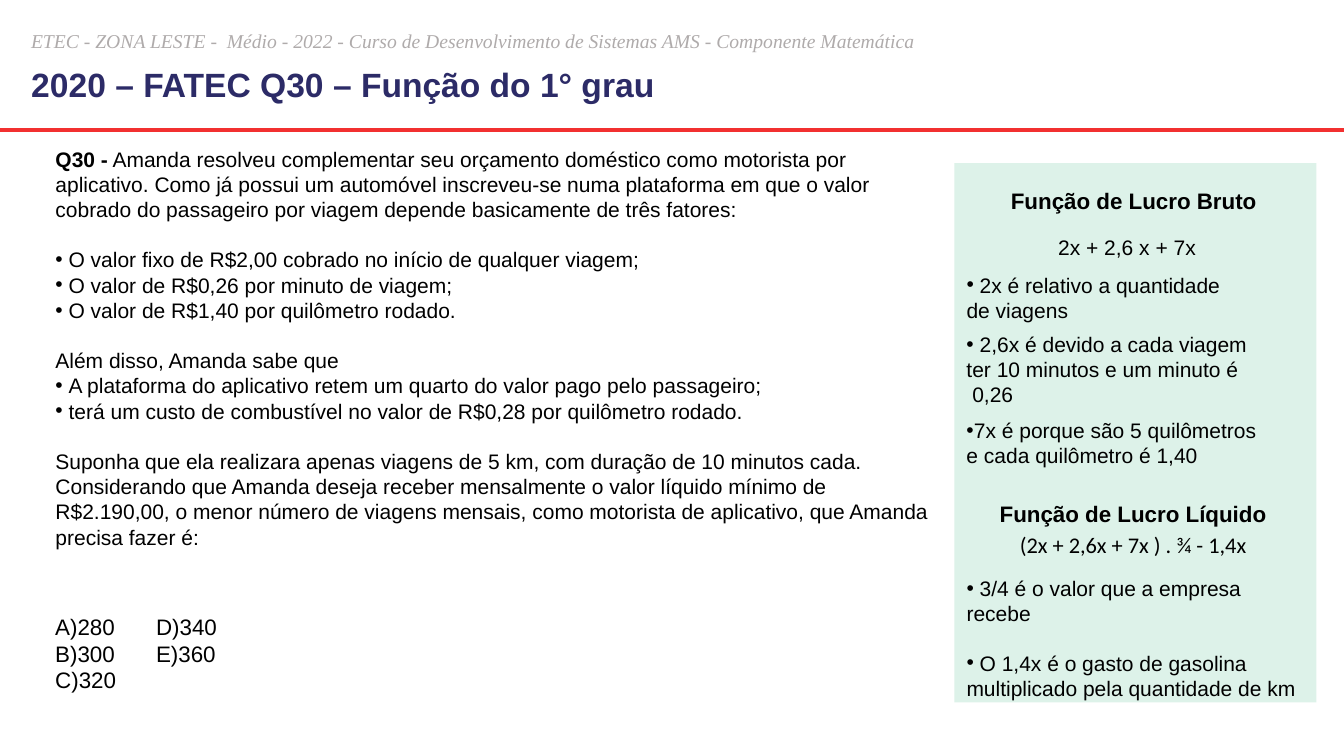
from lxml import etree
from pptx import Presentation
from pptx.dml.color import RGBColor
from pptx.enum.shapes import MSO_CONNECTOR, MSO_SHAPE
from pptx.enum.text import MSO_ANCHOR, MSO_AUTO_SIZE, PP_ALIGN
from pptx.oxml.ns import qn
from pptx.util import Pt

LEFT, TOP = PP_ALIGN.LEFT, MSO_ANCHOR.TOP
FIT, NO_FIT = MSO_AUTO_SIZE.SHAPE_TO_FIT_TEXT, MSO_AUTO_SIZE.NONE
STRAIGHT, RECTANGLE = MSO_CONNECTOR.STRAIGHT, MSO_SHAPE.RECTANGLE

BLACK = RGBColor(0x00, 0x00, 0x00)
GRAY = RGBColor(0xAF, 0xAB, 0xAB)
NAVY = RGBColor(0x2C, 0x2B, 0x67)
RED = RGBColor(0xF2, 0x30, 0x30)
MINT = RGBColor(0xDD, 0xF2, 0xE9)

BULLET = 9.4        # gap from bullet to text
TIGHT_BULLET = 5.3  # bullet that touches its text
NOTE_LEFT = 683.3
ANSWER_TAB = 148.5


def set_indent(p, bullet):
    """Give the paragraph a hanging bullet, or none when bullet is 0."""
    pPr = p._p.get_or_add_pPr()
    pPr.set("marL", str(Pt(bullet)))
    pPr.set("indent", str(-Pt(bullet)))
    if bullet:
        etree.SubElement(pPr, qn("a:buFont")).set("typeface", "Arial")
        etree.SubElement(pPr, qn("a:buChar")).set("char", "•")
    else:
        etree.SubElement(pPr, qn("a:buNone"))


def add_tab_stop(p, pos):
    tabs = etree.SubElement(p._p.get_or_add_pPr(), qn("a:tabLst"))
    etree.SubElement(tabs, qn("a:tab"), pos=str(Pt(pos)), algn="l")


def add_text(p, text, size=15, font="Arial", color=BLACK, bold=False,
             italic=False, bullet=0, before=0):
    """Append a formatted run and set the format of its paragraph."""
    if not p.runs:
        p.alignment = LEFT
        p.space_before = Pt(before)
        set_indent(p, bullet)
    r = p.add_run()
    r.text = text
    r.font.size, r.font.name = Pt(size), font
    r.font.bold, r.font.italic = bold, italic
    r.font.color.rgb = color


def next_paragraph(tf):
    p = tf.paragraphs[-1]
    return tf.add_paragraph() if p.runs else p


def add_box(s, x, y, w, h, *lines, wrap=False, bullet=0, **fmt):
    """Text box with one paragraph a line; a bullet marks the first."""
    tf = s.shapes.add_textbox(Pt(x), Pt(y), Pt(w), Pt(h)).text_frame
    tf.word_wrap, tf.auto_size = wrap, FIT
    for i, line in enumerate(lines):
        add_text(next_paragraph(tf), line, bullet=0 if i else bullet, **fmt)
    return tf


def place(sp, x, y, w, h):
    """Move a placeholder and return its cleaned-up text frame."""
    sp.left, sp.top, sp.width, sp.height = Pt(x), Pt(y), Pt(w), Pt(h)
    tf = sp.text_frame
    tf.word_wrap, tf.auto_size, tf.vertical_anchor = True, NO_FIT, TOP
    return tf


def add_panel(s, x, y, w, h):
    sp = s.shapes.add_shape(RECTANGLE, Pt(x), Pt(y), Pt(w), Pt(h))
    sp.shadow.inherit = False
    sp.fill.solid()
    sp.fill.fore_color.rgb = MINT
    sp.line.fill.background()


def add_rule(s, y, w):
    line = s.shapes.add_connector(STRAIGHT, Pt(0), Pt(y), Pt(w), Pt(y))
    line.line.color.rgb = RED
    line.line.width = Pt(3)
    etree.SubElement(line._element.spPr, qn("a:effectLst"))


def add_question(tf):
    p = next_paragraph(tf)
    add_text(p, "Q30 -", bold=True)
    add_text(p, " Amanda resolveu complementar seu orçamento doméstico como "
             "motorista por aplicativo. Como já possui um automóvel "
             "inscreveu-se numa plataforma em que o valor cobrado do "
             "passageiro por viagem depende basicamente de três fatores:")
    # (space before, bullet, text)
    for before, bullet, text in (
        (18, BULLET, "O valor fixo de R$2,00 cobrado no início de qualquer viagem;"),
        (0, BULLET, "O valor de R$0,26 por minuto de viagem;"),
        (0, BULLET, "O valor de R$1,40 por quilômetro rodado."),
        (18, 0, "Além disso, Amanda sabe que"),
        (0, BULLET, "A plataforma do aplicativo retem um quarto do valor pago "
                    "pelo passageiro;"),
        (0, BULLET, "terá um custo de combustível no valor de R$0,28 por "
                    "quilômetro rodado."),
        (18, 0, "Suponha que ela realizara apenas viagens de 5 km, com duração "
                "de 10 minutos cada."),
        (0, 0, "Considerando que Amanda deseja receber mensalmente o valor "
               "líquido mínimo de R$2.190,00, o menor número de viagens "
               "mensais, como motorista de aplicativo, que Amanda precisa "
               "fazer é:"),
    ):
        add_text(next_paragraph(tf), text, bullet=bullet, before=before)


def add_solution(s):
    add_panel(s, 681.8, 116.6, 258.5, 385.2)

    # Headings and formulas
    add_box(s, 715, 130.3, 192.2, 26.6, "Função de Lucro Bruto", size=16, bold=True)
    add_box(s, 748.8, 164.2, 123.8, 25.2, "2x + 2,6 x + 7x", wrap=True)
    add_box(s, 707, 353.5, 207.4, 26.6, "Função de Lucro Líquido", size=16, bold=True)
    add_box(s, 721.4, 375.8, 178.6, 26.6, "(2x + 2,6x + 7x ) . ¾ - 1,4x",
            size=16, font="Calibri")

    # Notes: top, width, height, bullet, lines
    for y, w, h, bullet, lines in (
        (190.8, 202.3, 43.9, BULLET, ("2x é relativo a quantidade", "de viagens")),
        (233.3, 221, 79.9, BULLET, ("2,6x é devido a cada viagem",
                                    "ter 10 minutos e um minuto é", " 0,26")),
        (294.5, 232.6, 43.9, TIGHT_BULLET, ("7x é porque são 5 quilômetros",
                                            "e cada quilômetro é 1,40")),
        (407.5, 216.7, 43.9, BULLET, ("3/4 é o valor que a empresa", "recebe")),
        (460.8, 252.7, 43.9, BULLET, ("O 1,4x é o gasto de gasolina",
                                      "multiplicado pela quantidade de km")),
    ):
        add_box(s, NOTE_LEFT, y, w, h, *lines, bullet=bullet)


def main():
    prs = Presentation()
    prs.slide_width, prs.slide_height = Pt(960), Pt(540)
    s = prs.slides.add_slide(prs.slide_layouts[1])

    # Header
    add_box(s, 15.1, 17.3, 931, 24.5,
            "ETEC - ZONA LESTE -  Médio - 2022 - Curso de Desenvolvimento de "
            "Sistemas AMS - Componente Matemática",
            wrap=True, size=14, font="Times New Roman", color=GRAY, italic=True)
    title = place(s.shapes.title, 15.1, 41.8, 828, 36)
    add_text(next_paragraph(title), "2020 – FATEC Q30 – Função do 1° grau",
             size=24, color=NAVY, bold=True)
    add_rule(s, 92.9, 960)

    # Question and answers
    add_question(place(s.placeholders[1], 32.4, 100.8, 648, 316))
    answers = add_box(s, 32.4, 434.2, 269.3, 65.5, "A)280\tD)340",
                      "B)300\tE)360", "C)320", wrap=True, size=16)
    for p in answers.paragraphs:
        add_tab_stop(p, ANSWER_TAB)

    add_solution(s)
    prs.save("out.pptx")


if __name__ == "__main__":
    main()
